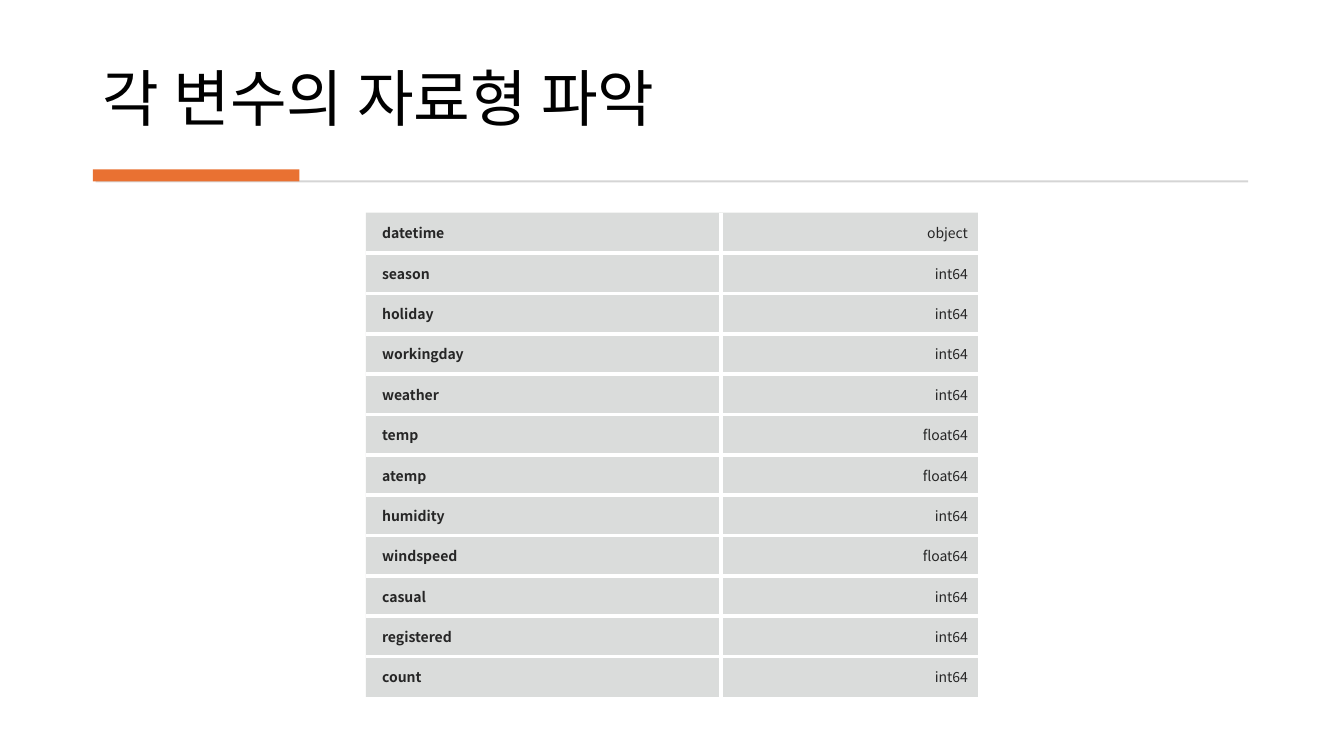
from dataclasses import dataclass

from lxml import etree
from pptx import Presentation
from pptx.dml.color import RGBColor
from pptx.enum.shapes import MSO_SHAPE
from pptx.enum.text import MSO_ANCHOR, MSO_AUTO_SIZE, PP_ALIGN
from pptx.oxml.ns import qn
from pptx.util import Inches, Pt

RECTANGLE = MSO_SHAPE.RECTANGLE
MIDDLE, BOTTOM = MSO_ANCHOR.MIDDLE, MSO_ANCHOR.BOTTOM
LEFT, RIGHT = PP_ALIGN.LEFT, PP_ALIGN.RIGHT
NO_AUTOFIT = MSO_AUTO_SIZE.NONE
TITLE_ONLY = 5


@dataclass(frozen=True)
class Theme:
    """Colours, font and type sizes of the slide."""
    font: str = "Noto Sans CJK KR"
    title_size: int = 44
    cell_size: int = 10
    border_width: int = 3
    title: str = "000000"
    text: str = "262626"
    rule: str = "D5D5D5"
    accent: str = "E97132"
    cell: str = "878E8B"
    cell_opacity: int = 30
    border: str = "FFFFFF"


THEME = Theme()
TITLE = "각 변수의 자료형 파악"
VARIABLE_TYPES = [
    ("datetime", "object"),
    ("season", "int64"),
    ("holiday", "int64"),
    ("workingday", "int64"),
    ("weather", "int64"),
    ("temp", "float64"),
    ("atemp", "float64"),
    ("humidity", "int64"),
    ("windspeed", "float64"),
    ("casual", "int64"),
    ("registered", "int64"),
    ("count", "int64"),
]


def add_run(paragraph, text, size, color, bold=False):
    """Add one run in the theme font, for Latin and Korean letters alike."""
    run = paragraph.add_run()
    run.text = text
    run.font.name = THEME.font
    run.font.size = Pt(size)
    run.font.bold = bold
    run.font.color.rgb = RGBColor.from_string(color)
    east_asian = etree.Element(qn("a:ea"), typeface=THEME.font)
    run.font._element.find(qn("a:latin")).addnext(east_asian)


def place_title(slide, box, text):
    """Move the title placeholder into the box and fill it."""
    title = slide.shapes.title
    title.left, title.top, title.width, title.height = map(Inches, box)
    frame = title.text_frame
    frame.auto_size = NO_AUTOFIT
    frame.vertical_anchor = BOTTOM
    paragraph = frame.paragraphs[0]
    paragraph.alignment = LEFT
    paragraph.line_spacing = 0.9
    add_run(paragraph, text, THEME.title_size, THEME.title)


def add_bar(slide, box, color):
    """Add a plain filled bar."""
    shape = slide.shapes.add_shape(RECTANGLE, *map(Inches, box))
    shape.shadow.inherit = False
    shape.fill.solid()
    shape.fill.fore_color.rgb = RGBColor.from_string(color)
    shape.line.fill.background()


def add_divider(slide, box):
    """Add a thin rule along the foot of the box and an accent at its left."""
    left, top, width, height = box
    add_bar(slide, (left + 0.03, top + height - 0.01, width - 0.03, 0.02), THEME.rule)
    add_bar(slide, (left, top, 2.05, height), THEME.accent)


def set_borders(cell, inner_sides):
    """Draw the inner sides of a cell and leave its outer sides open."""
    properties = cell._tc.get_or_add_tcPr()
    for position, side in enumerate("LRTB"):
        line = etree.Element(qn(f"a:ln{side}"), w=str(Pt(THEME.border_width)))
        if side in inner_sides:
            fill = etree.SubElement(line, qn("a:solidFill"))
            etree.SubElement(fill, qn("a:srgbClr"), val=THEME.border)
        else:
            etree.SubElement(line, qn("a:noFill"))
        properties.insert(position, line)


def fill_cell(cell, text, alignment, bold):
    """Set the tint, margins and text of a cell."""
    cell.fill.solid()
    cell.fill.fore_color.rgb = RGBColor.from_string(THEME.cell)
    color = cell._tc.tcPr.find(f".//{qn('a:srgbClr')}")
    etree.SubElement(color, qn("a:alpha"), val=str(THEME.cell_opacity * 1000))
    cell.vertical_anchor = MIDDLE
    cell.margin_left = Inches(0.16)
    cell.margin_right = cell.margin_top = cell.margin_bottom = Inches(0.1)
    paragraph = cell.text_frame.paragraphs[0]
    paragraph.alignment = alignment
    add_run(paragraph, text, THEME.cell_size, THEME.text, bold)


def add_type_table(slide, box, rows, name_share):
    """Add the table of variable names and their types in the box."""
    left, top, width, height = map(Inches, box)
    table = slide.shapes.add_table(len(rows), 2, left, top, width, height).table
    table.first_row = table.horz_banding = False
    table.columns[0].width = int(width * name_share)
    table.columns[1].width = width - table.columns[0].width
    for row_index, row in enumerate(rows):
        table.rows[row_index].height = height // len(rows)
        row_sides = "T" * (row_index > 0) + "B" * (row_index < len(rows) - 1)
        for column_index, text in enumerate(row):
            cell = table.cell(row_index, column_index)
            is_name = column_index == 0
            fill_cell(cell, text, LEFT if is_name else RIGHT, is_name)
            set_borders(cell, row_sides + ("R" if is_name else "L"))


def main():
    """Build and save the slide."""
    presentation = Presentation()
    presentation.slide_width = Inches(13.33)
    presentation.slide_height = Inches(7.5)
    slide = presentation.slides.add_slide(presentation.slide_layouts[TITLE_ONLY])
    place_title(slide, (0.92, 0.28, 11.49, 1.11), TITLE)
    add_divider(slide, (0.92, 1.68, 11.46, 0.12))
    add_type_table(slide, (3.63, 2.11, 6.07, 4.77), VARIABLE_TYPES, 0.58)
    presentation.save("out.pptx")


if __name__ == "__main__":
    main()
